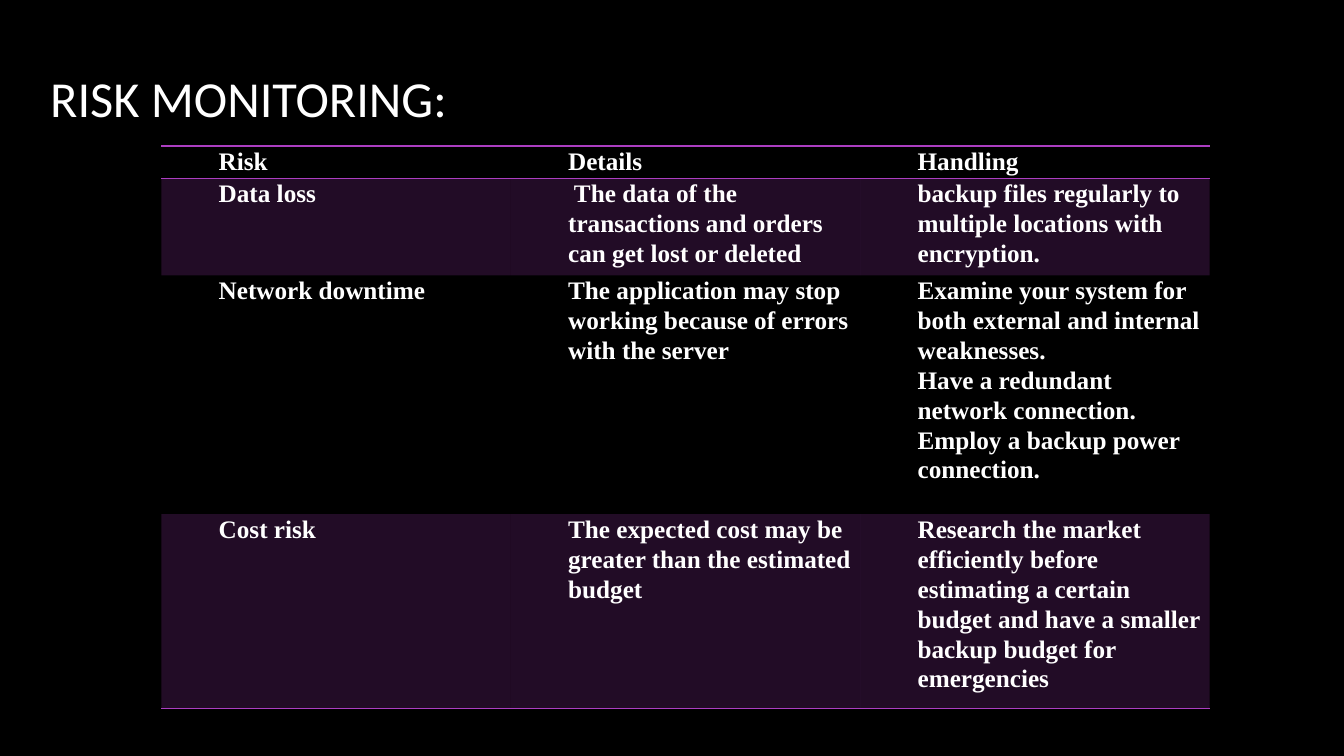
from dataclasses import dataclass

from lxml import etree
from pptx import Presentation
from pptx import util as u
from pptx.dml.color import RGBColor
from pptx.enum import text
from pptx.oxml.ns import qn

WIDE, HIGH = u.Inches(13.33), u.Inches(7.5)
HUES = {"back": "000000", "ink": "FFFFFF", "band": "AC3EC1"}
PLAIN = "{2D5ABB26-0587-4C30-8999-92F81FD0307C}"
COLS = 3


@dataclass
class Risk:
    cells: tuple[str, str, str]
    share: float
    band: bool = False
    rules: tuple[str, ...] = ()


RISKS = [
    Risk(("Risk", "Details", "Handling"), 0.04, rules=("lnT", "lnB")),
    Risk(("Data loss",
          " The data of the transactions and orders can get lost or deleted",
          "backup files regularly to multiple locations with encryption."),
         0.118, band=True),
    Risk(("Network downtime",
          "The application may stop working because of errors with the server",
          "Examine your system for both external and internal weaknesses.\n"
          "Have a redundant network connection.\n"
          "Employ a backup power connection."),
         0.316),
    Risk(("Cost risk",
          "The expected cost may be greater than the estimated budget",
          "Research the market efficiently before estimating a certain budget "
          "and have a smaller backup budget for emergencies"),
         0.237, band=True, rules=("lnB",)),
]


def wide(share: float) -> int:
    return round(WIDE * share)


def high(share: float) -> int:
    return round(HIGH * share)


def hue(name: str) -> RGBColor:
    return RGBColor.from_string(HUES[name])


def style(para, face: str, size: int, bold: bool = False) -> None:
    para.font.name = face
    para.font.size = u.Pt(size)
    para.font.bold = bold
    para.font.color.rgb = hue("ink")


def rule(cell, side: str) -> None:
    line = etree.Element(qn(f"a:{side}"), w=str(u.Pt(1)))
    fill = etree.SubElement(line, qn("a:solidFill"))
    etree.SubElement(fill, qn("a:srgbClr"), val=HUES["band"])
    cell._tc.get_or_add_tcPr().insert(0, line)


def paint(cell, risk: Risk) -> None:
    if risk.band:
        cell.fill.solid()
        cell.fill.fore_color.rgb = hue("band")
        tint = cell._tc.tcPr.find(f".//{qn('a:srgbClr')}")
        etree.SubElement(tint, qn("a:alpha"), val="20000")
    else:
        cell.fill.background()
    for side in reversed(risk.rules):
        rule(cell, side)


def write(cell, words: str) -> None:
    cell.margin_left = cell.margin_right = u.Inches(0.07)
    cell.margin_top = cell.margin_bottom = 0
    cell.text = words
    for para in cell.text_frame.paragraphs:
        style(para, "Times New Roman", 18, bold=True)
        para.line_spacing = 1.07
        para._p.get_or_add_pPr().set("marL", str(u.Inches(0.5)))


def title(slide) -> None:
    box = slide.shapes.add_textbox(wide(0.03), high(0.023), wide(0.83), high(0.212))
    frame = box.text_frame
    frame.word_wrap = True
    frame.vertical_anchor = text.MSO_ANCHOR.MIDDLE
    frame.text = "RISK MONITORING:"
    style(frame.paragraphs[0], "Calibri", 36)


def table(slide) -> None:
    total = sum(risk.share for risk in RISKS)
    grid = slide.shapes.add_table(len(RISKS), COLS, wide(0.12), high(0.193),
                                  wide(0.78), high(total)).table
    grid.first_row = grid.horz_banding = False
    grid._tbl.tblPr.find(qn("a:tableStyleId")).text = PLAIN
    for row, risk in zip(grid.rows, RISKS):
        row.height = high(risk.share)
        for cell, words in zip(row.cells, risk.cells):
            write(cell, words)
            paint(cell, risk)


def main() -> None:
    deck = Presentation()
    deck.slide_width, deck.slide_height = WIDE, HIGH
    slide = deck.slides.add_slide(deck.slide_layouts[6])
    slide.background.fill.solid()
    slide.background.fill.fore_color.rgb = hue("back")
    title(slide)
    table(slide)
    deck.save("out.pptx")


if __name__ == "__main__":
    main()
